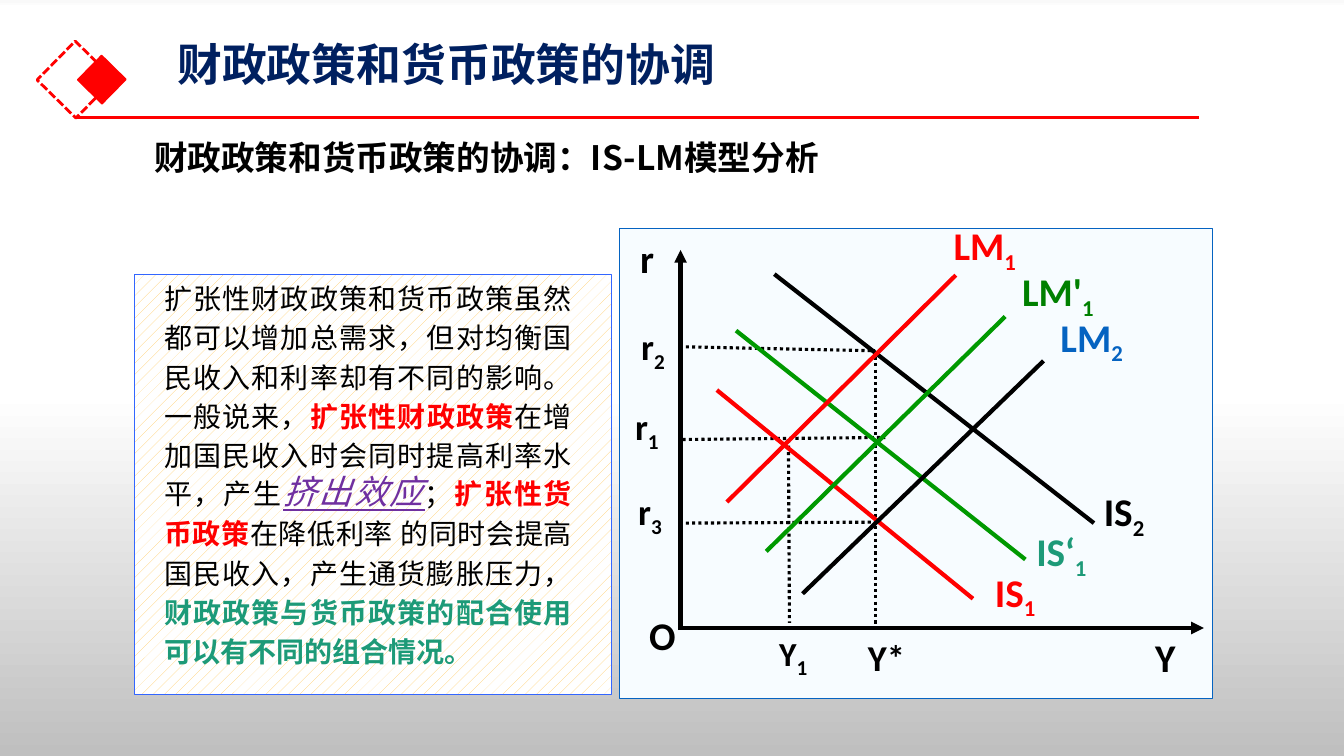
import copy

import lxml.etree
import pptx
import pptx.dml.color
import pptx.enum.dml
import pptx.enum.shapes
import pptx.enum.text
import pptx.oxml.ns
import pptx.util

Inches = pptx.util.Inches
Pt = pptx.util.Pt
RGBColor = pptx.dml.color.RGBColor
Dash = pptx.enum.dml.MSO_LINE
Anchor = pptx.enum.text.MSO_ANCHOR
qn = pptx.oxml.ns.qn

BLACK = RGBColor(0, 0, 0)
WHITE = RGBColor(0xFF, 0xFF, 0xFF)
RED = RGBColor(0xFF, 0, 0)
NAVY = RGBColor(0, 0x20, 0x60)
BLUE = RGBColor(0x05, 0x63, 0xC1)
FRAME_BLUE = RGBColor(0x33, 0x66, 0xFF)
PALE_BLUE = RGBColor(0xF7, 0xFC, 0xFF)
CURVE_GREEN = RGBColor(0, 0x99, 0)
LABEL_GREEN = RGBColor(0, 0x80, 0)
TEAL = RGBColor(0x1D, 0x9A, 0x78)
PURPLE = RGBColor(0x70, 0x30, 0xA0)
SAND = RGBColor(0xFF, 0xCC, 0x66)
OFF_WHITE = RGBColor(0xF9, 0xF9, 0xF9)
GREY = RGBColor(0xBF, 0xBF, 0xBF)

CHINESE_FONT = "Noto Sans CJK SC"
LABEL_FONT = "Calibri"
LABEL_WIDTH, LABEL_HEIGHT = 1.1, 0.6
ORIGIN_X, AXIS_Y = 6.75, 6.23
EQUILIBRIUM_X = 8.68


def set_background(slide):
    fill = slide.background.fill
    fill.gradient()
    fill.gradient_angle = 270
    stop_list = fill.gradient_stops[0]._gs.getparent()
    for _ in range(2):
        stop_list.append(copy.deepcopy(stop_list[0]))
    stops = [(0, OFF_WHITE), (0.01, WHITE), (0.52, WHITE), (1, GREY)]
    for stop, (position, color) in zip(fill.gradient_stops, stops):
        stop.position = position
        stop.color.rgb = color


def add_rectangle(slide, box, line_color, width, fill_color=None, rotation=0):
    shape = slide.shapes.add_shape(
        pptx.enum.shapes.MSO_SHAPE.RECTANGLE, *map(Inches, box))
    shape.shadow.inherit = False
    shape.rotation = rotation
    if fill_color is None:
        shape.fill.background()
    else:
        shape.fill.solid()
        shape.fill.fore_color.rgb = fill_color
    shape.line.color.rgb = line_color
    shape.line.width = Pt(width)
    return shape


def add_line(slide, start, end, color=BLACK, width=3, dash=None, arrow=False):
    connector = slide.shapes.add_connector(
        pptx.enum.shapes.MSO_CONNECTOR.STRAIGHT, *map(Inches, start + end))
    connector.line.color.rgb = color
    connector.line.width = Pt(width)
    if dash:
        connector.line.dash_style = dash
    if arrow:
        lxml.etree.SubElement(
            connector.line._get_or_add_ln(), qn("a:tailEnd"), type="triangle")
    lxml.etree.SubElement(connector._element.spPr, qn("a:effectLst"))


def add_guide(slide, start, end):
    add_line(slide, start, end, width=2.25, dash=Dash.ROUND_DOT)


def add_run(paragraph, text, size, color, bold=False, name=CHINESE_FONT):
    run = paragraph.add_run()
    run.text = text
    font = run.font
    font.size = Pt(size)
    font.bold = bold
    font.color.rgb = color
    font.name = name
    latin = run._r.rPr.find(qn("a:latin"))
    east_asian = copy.deepcopy(latin)
    east_asian.tag = qn("a:ea")
    latin.addnext(east_asian)
    return run


def add_text_box(slide, box, anchor=Anchor.TOP):
    text_frame = slide.shapes.add_textbox(*map(Inches, box)).text_frame
    text_frame.word_wrap = True
    text_frame.vertical_anchor = anchor
    return text_frame.paragraphs[0]


def add_label(slide, left, middle, text, subscript="", color=BLACK, size=28, subscript_size=None):
    box = (left, middle - LABEL_HEIGHT / 2, LABEL_WIDTH, LABEL_HEIGHT)
    paragraph = add_text_box(slide, box, Anchor.MIDDLE)
    add_run(paragraph, text, size, color, True, LABEL_FONT)
    if subscript:
        run = add_run(paragraph, subscript, subscript_size or size, color, True, LABEL_FONT)
        run._r.rPr.set("baseline", "-25000")


def add_heading(slide):
    diamond = add_rectangle(slide, (0.48, 0.52, 0.54, 0.54), RED, 2, rotation=314.5)
    diamond.line.dash_style = Dash.SQUARE_DOT
    add_rectangle(slide, (0.84, 0.62, 0.34, 0.34), RED, 1, RED, rotation=314.5)
    add_line(slide, (0.75, 1.17), (11.89, 1.17), RED, 2.25)
    title = add_text_box(slide, (1.66, 0.32, 11.5, 0.68), Anchor.MIDDLE)
    title.line_spacing = 0.9
    add_run(title, "财政政策和货币政策的协调", 32, NAVY, True)
    subtitle = add_text_box(slide, (1.43, 1.31, 8.26, 0.5))
    add_run(subtitle, "财政政策和货币政策的协调：IS-LM模型分析", 24, BLACK, True)


def add_diagram(slide):
    add_rectangle(slide, (6.14, 2.27, 5.89, 4.66), BLUE, 0.75, PALE_BLUE)
    guides = [
        ((6.74, 5.19), (EQUILIBRIUM_X, 5.18)),
        ((6.77, 4.36), (8.78, 4.34)),
        ((6.74, 3.44), (EQUILIBRIUM_X, 3.48)),
        ((7.82, 4.36), (7.83, 6.18)),
        ((EQUILIBRIUM_X, 3.48), (EQUILIBRIUM_X, AXIS_Y)),
    ]
    curves = [
        ((7.3, 3.28), (10.17, 5.55), CURVE_GREEN),
        ((7.68, 2.72), (10.85, 5.19), BLACK),
        ((7.11, 3.87), (9.65, 5.94), RED),
        ((7.6, 5.47), (9.97, 3.14), CURVE_GREEN),
        ((7.96, 5.89), (10.35, 3.58), BLACK),
        ((7.21, 4.98), (9.48, 2.73), RED),
    ]
    labels = [
        (6.23, 5.1, "r", "3", BLACK, 26),
        (6.26, 3.46, "r", "2", BLACK, 26),
        (6.2, 4.26, "r", "1", BLACK, 26),
        (7.63, 6.5, "Y", "1", BLACK, 24, 26),
        (8.51, 6.52, "Y*", "", BLACK, 26),
        (6.25, 2.56, "r"),
        (6.34, 6.3, "O"),
        (11.36, 6.52, "Y"),
        (10.85, 5.1, "IS", "2"),
        (9.77, 5.9, "IS", "1", RED),
        (10.18, 5.5, "IS‘", "1", TEAL),
        (10.04, 2.92, "LM'", "1", LABEL_GREEN),
        (10.42, 3.37, "LM", "2", BLUE),
        (9.36, 2.46, "LM", "1", RED),
    ]
    for guide in guides:
        add_guide(slide, *guide)
    for curve in curves:
        add_line(slide, *curve)
    add_line(slide, (ORIGIN_X, 6.25), (ORIGIN_X, 2.48), arrow=True)
    add_line(slide, (ORIGIN_X, AXIS_Y), (11.94, AXIS_Y), arrow=True)
    for label in labels:
        add_label(slide, *label)


def add_explanation(slide):
    panel = add_rectangle(slide, (1.33, 2.72, 4.74, 4.17), FRAME_BLUE, 0.75)
    panel.fill.patterned()
    panel.fill.pattern = pptx.enum.dml.MSO_PATTERN.PERCENT_10
    panel.fill.fore_color.rgb = SAND
    panel.fill.back_color.rgb = WHITE
    paragraph = add_text_box(slide, (1.53, 2.69, 4.24, 4))
    paragraph.alignment = pptx.enum.text.PP_ALIGN.JUSTIFY
    paragraph.line_spacing = Pt(28)
    add_run(paragraph, "扩张性财政政策和货币政策虽然都可以增加总需求，但对均衡国民收入和利率却有不同的影响。一般说来，", 20, BLACK)
    add_run(paragraph, "扩张性财政政策", 20, RED, True)
    add_run(paragraph, "在增加国民收入时会同时提高利率水平，产生", 20, BLACK)
    crowding_out = add_run(paragraph, "挤出效应", 24, PURPLE)
    crowding_out.font.italic = True
    crowding_out.font.underline = True
    add_run(paragraph, "；", 20, BLACK)
    add_run(paragraph, "扩张性货币政策", 20, RED, True)
    add_run(paragraph, "在降低利率 的同时会提高国民收入，产生通货膨胀压力，", 20, BLACK)
    add_run(paragraph, "财政政策与货币政策的配合使用可以有不同的组合情况。", 20, TEAL, True)


def main():
    presentation = pptx.Presentation()
    presentation.slide_width = Inches(13.33)
    presentation.slide_height = Inches(7.5)
    slide = presentation.slides.add_slide(presentation.slide_layouts[6])
    set_background(slide)
    add_heading(slide)
    add_diagram(slide)
    add_explanation(slide)
    presentation.save("out.pptx")


if __name__ == "__main__":
    main()
